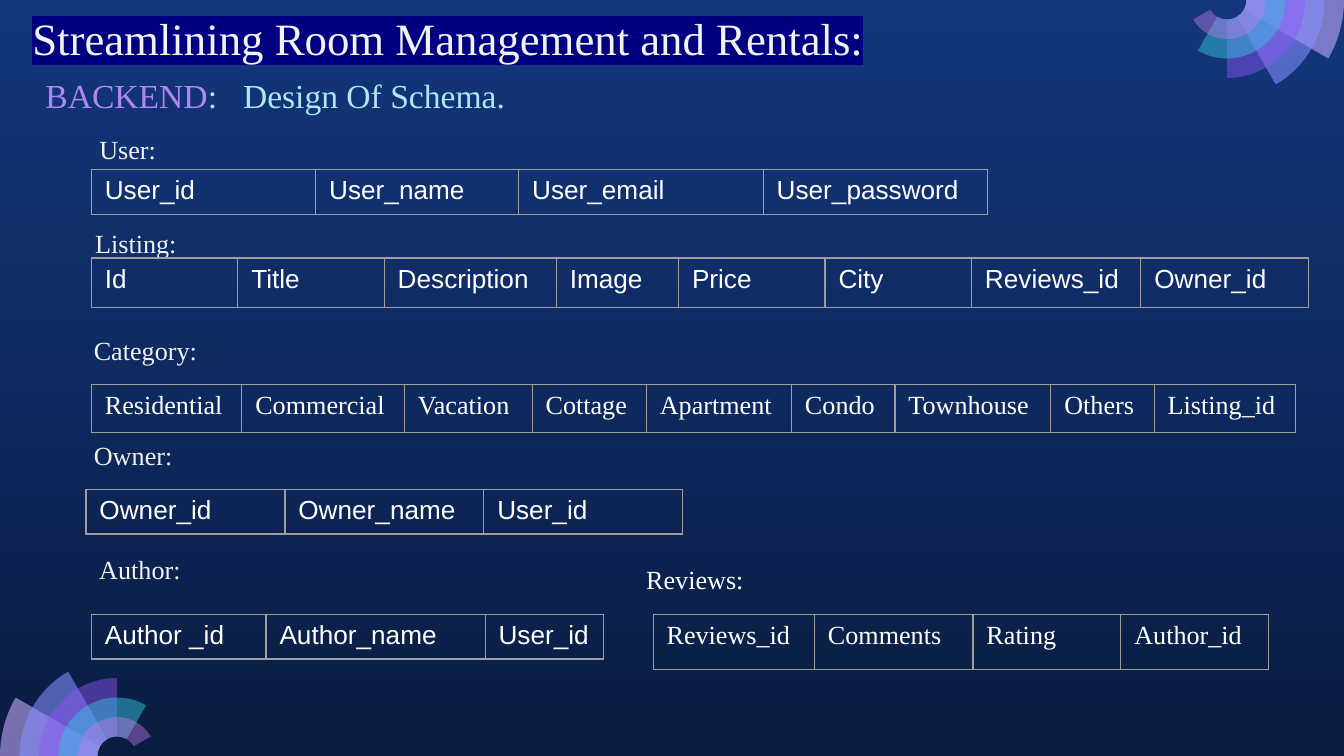
from itertools import pairwise
from math import cos, radians, sin, tan

from lxml import etree
from pptx import Presentation
from pptx.dml.color import RGBColor
from pptx.enum.text import MSO_ANCHOR, MSO_AUTO_SIZE, PP_ALIGN
from pptx.oxml.ns import qn
from pptx.util import Inches, Pt

TOP = MSO_ANCHOR.TOP
LEFT = PP_ALIGN.LEFT
NO_AUTOFIT = MSO_AUTO_SIZE.NONE

THEME = {
    "serif": "Times New Roman", "sans": "Arial",
    "title_size": 24, "subtitle_size": 18, "body_size": 14,
    "light": "F2F2F2", "white": "FFFFFF", "highlight": "000080",
    "purple": "AE87F5", "aqua": "AEE7F2", "border": "9E9E9E",
    "background": ("13367C", "0A1D42"),
    # Petal colour and opacity in percent, from the outermost inwards
    "petals": (("C8ACFD", 58), ("878FFF", 58), ("9154F8", 46),
               ("35C2DF", 49), ("CA7BEB", 42)),
}
SERIF, SANS = THEME["serif"], THEME["sans"]
WIDTH, HEIGHT = 10, 5.625


def write(paragraph, text, *, size=THEME["body_size"], font=SERIF,
          color=THEME["light"], highlight=None):
    paragraph.alignment = LEFT
    run = paragraph.add_run()
    run.text = text
    run.font.size = Pt(size)
    run.font.color.rgb = RGBColor.from_string(color)
    if highlight:
        mark = etree.Element(qn("a:highlight"))
        etree.SubElement(mark, qn("a:srgbClr"), val=highlight)
        run.font._element.find(qn("a:solidFill")).addnext(mark)
    run.font.name = font


def add_text_box(left, top, width, height):
    box = slide.shapes.add_textbox(Inches(left), Inches(top),
                                   Inches(width), Inches(height))
    box.text_frame.word_wrap = True
    return box.text_frame.paragraphs[0]


presentation = Presentation()
presentation.slide_width = Inches(WIDTH)
presentation.slide_height = Inches(HEIGHT)
slide = presentation.slides.add_slide(presentation.slide_layouts[5])

# Background gradient, top to bottom
background = slide.background.fill
background.gradient()
background.gradient_angle = 270
for stop, color, position in zip(background.gradient_stops, THEME["background"], (0, 1)):
    stop.color.rgb = RGBColor.from_string(color)
    stop.position = position

# Corner fans: each petal is one ring narrower and spans 30 degrees more
RING = 0.145
for center_x, center_y, turn in ((0.87, HEIGHT, 180), (WIDTH - 0.87, 0, 0)):
    for index, (color, opacity) in enumerate(THEME["petals"]):
        sweep = 30 * (index + 1)
        angles = sorted({0, min(sweep, 90), sweep})

        # Outer arc, then inner arc back; every arc is a Bezier of three points
        points, curve_starts = [], []
        for radius, stops in ((RING * (6 - index), angles), (RING, angles[::-1])):
            polar = [(stops[0], 0)]
            for start, end in pairwise(stops):
                handle = 4 / 3 * tan(radians(end - start) / 4)
                curve_starts.append(len(points) + len(polar))
                polar += [(start, handle), (end, -handle), (end, 0)]
            for angle, handle in polar:
                across, down = cos(radians(turn + angle)), sin(radians(turn + angle))
                points.append((Inches(center_x + radius * (across - handle * down)),
                               Inches(center_y + radius * (down + handle * across))))
        builder = slide.shapes.build_freeform(*points[0])
        builder.add_line_segments(points[1:], close=True)
        petal = builder.convert_to_shape()

        # Join the three points of each arc into one curve
        segments = list(petal._element.iter(qn("a:moveTo"), qn("a:lnTo")))
        for first in curve_starts:
            curve = etree.Element(qn("a:cubicBezTo"))
            segments[first].addprevious(curve)
            for segment in segments[first:first + 3]:
                curve.append(segment[0])
                segment.getparent().remove(segment)

        petal.shadow.inherit = False
        petal.line.fill.background()
        petal.fill.solid()
        petal.fill.fore_color.rgb = RGBColor.from_string(color)
        fill_color = petal._element.spPr.find(qn("a:solidFill"))[0]
        etree.SubElement(fill_color, qn("a:alpha"), val=str(opacity * 1000))

# Title
title = slide.shapes.title
title.left, title.top = Inches(0.14), Inches(0.03)
title.width, title.height = Inches(6.69), Inches(0.5)
title.text_frame.word_wrap = True
title.text_frame.auto_size = NO_AUTOFIT
title.text_frame.vertical_anchor = TOP
write(title.text_frame.paragraphs[0], "Streamlining Room Management and Rentals:",
      size=THEME["title_size"], highlight=THEME["highlight"])

# Subtitle, with a tab stop between its two parts
subtitle = add_text_box(0.24, 0.51, 6.23, 0.4)
write(subtitle, "BACKEND", size=THEME["subtitle_size"], color=THEME["purple"])
write(subtitle, ":\tDesign Of Schema.", size=THEME["subtitle_size"], color=THEME["aqua"])
tab_list = etree.SubElement(subtitle._p.get_or_add_pPr(), qn("a:tabLst"))
etree.SubElement(tab_list, qn("a:tab"), pos=str(Inches(1.47)), algn="l")

# Schemas: label, label box, table left, top and height, font, columns with widths
SCHEMAS = (
    ("User:", (0.64, 0.94, 0.68), (0.68, 1.26, 0.33), SANS,
     {"User_id": 1.67, "User_name": 1.51, "User_email": 1.82, "User_password": 1.67}),
    ("Listing:", (0.61, 1.64, 0.83), (0.68, 1.92, 0.37), SANS,
     {"Id": 1.09, "Title": 1.09, "Description": 1.28, "Image": 0.91, "Price": 1.09,
      "City": 1.09, "Reviews_id": 1.26, "Owner_id": 1.25}),
    ("Category:", (0.6, 2.44, 1.13), (0.68, 2.86, 0.36), SERIF,
     {"Residential": 1.12, "Commercial": 1.21, "Vacation": 0.95, "Cottage": 0.85,
      "Apartment": 1.08, "Condo": 0.77, "Townhouse": 1.16, "Others": 0.77,
      "Listing_id": 1.05}),
    ("Owner:", (0.6, 3.22, 1.01), (0.64, 3.64, 0.33), SANS,
     {"Owner_id": 1.48, "Owner_name": 1.48, "User_id": 1.48}),
    ("Author:", (0.64, 4.07, 1.1), (0.68, 4.57, 0.33), SANS,
     {"Author _id": 1.3, "Author_name": 1.63, "User_id": 0.88}),
    ("Reviews:", (4.71, 4.14, 1.36), (4.86, 4.57, 0.41), SERIF,
     {"Reviews_id": 1.2, "Comments": 1.18, "Rating": 1.1, "Author_id": 1.1}),
)
for label, label_box, (left, top, height), font, columns in SCHEMAS:
    write(add_text_box(*label_box, 0.34), label,
          color=THEME["white"] if label == "Reviews:" else THEME["light"])

    table = slide.shapes.add_table(1, len(columns), Inches(left), Inches(top),
                                   Inches(sum(columns.values())), Inches(height)).table
    table.first_row = table.horz_banding = False
    for index, (name, width) in enumerate(columns.items()):
        table.columns[index].width = Inches(width)
        cell = table.cell(0, index)
        cell.fill.background()
        write(cell.text_frame.paragraphs[0], name, font=font, color=THEME["white"])
        properties = cell._tc.get_or_add_tcPr()
        for order, side in enumerate(("lnL", "lnR", "lnT", "lnB")):
            border = etree.Element(qn(f"a:{side}"), w=str(Pt(0.75)))
            border_fill = etree.SubElement(border, qn("a:solidFill"))
            etree.SubElement(border_fill, qn("a:srgbClr"), val=THEME["border"])
            properties.insert(order, border)

presentation.save("out.pptx")
